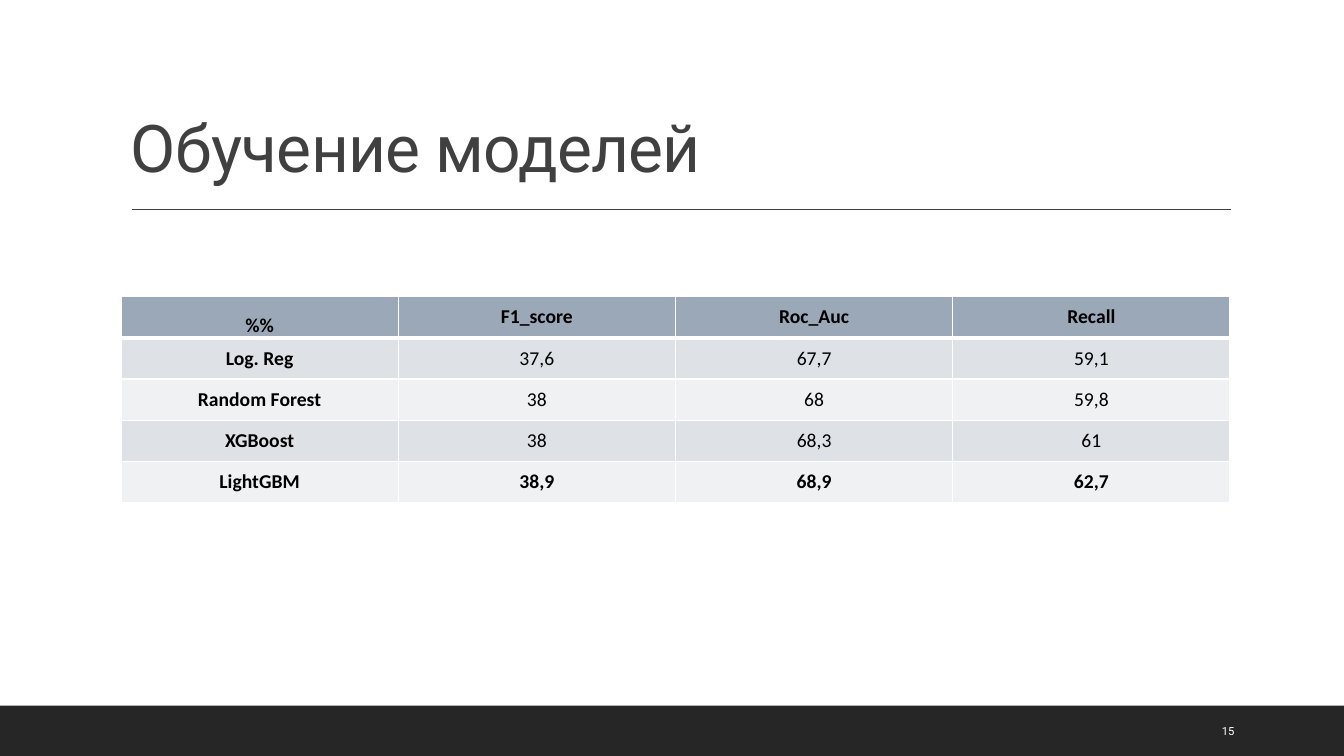
"""Build the model training slide with its table of scores."""
from lxml.etree import SubElement
from pptx import Presentation
from pptx.dml.color import RGBColor
from pptx.enum.shapes import MSO_CONNECTOR, MSO_SHAPE
from pptx.enum.text import MSO_ANCHOR, PP_ALIGN
from pptx.oxml import parse_xml
from pptx.oxml.ns import nsdecls, qn
from pptx.util import Inches, Pt

TITLE = "Обучение моделей"
PAGE = "15"
SCORES = [
    ("%%", "F1_score", "Roc_Auc", "Recall"),
    ("Log. Reg", "37,6", "67,7", "59,1"),
    ("Random Forest", "38", "68", "59,8"),
    ("XGBoost", "38", "68,3", "61"),
    ("LightGBM", "38,9", "68,9", "62,7"),
]
BEST_ROW = len(SCORES) - 1

THEME = {
    "footer": "262626", "rule": "404040", "border": "FFFFFF",
    "head": "9BA8B7", "bands": ("EFF1F3", "DEE1E6"),
    "title": {"name": "Roboto", "size": Pt(47), "color": "404040"},
    "page": {"name": "Roboto", "size": Pt(8), "color": "FFFFFF"},
    "cell": {"name": "Calibri", "size": Pt(14), "color": "000000"},
}
LEFT, WIDTH = 1.2, 11
TABLE_TOP, ROW_H = 2.94, 0.41
CELL_FORMAT = {"margin_left": Inches(0.07), "margin_right": Inches(0.07),
               "margin_top": 0, "margin_bottom": 0}


def write(p, text, style, **extra):
    r = p.add_run()
    r.text = text
    for key, value in {**THEME[style], **extra}.items():
        if key == "color":
            r.font.color.rgb = RGBColor.from_string(value)
        else:
            setattr(r.font, key, value)
    return r


def add_text(s, box, text, style, anchor):
    tf = s.shapes.add_textbox(*map(Inches, box)).text_frame
    tf.word_wrap = True
    tf.vertical_anchor = anchor
    p = tf.paragraphs[0]
    return p, write(p, text, style)


def set_borders(cell, bottom):
    tc_pr = cell._tc.get_or_add_tcPr()
    for i, (side, width) in enumerate(zip("LRTB", (1, 1, 1, bottom))):
        tc_pr.insert(i, parse_xml(
            f'<a:ln{side} {nsdecls("a")} w="{Pt(width)}"><a:solidFill>'
            f'<a:srgbClr val="{THEME["border"]}"/></a:solidFill></a:ln{side}>'))


def add_scores(s):
    rows, cols = len(SCORES), len(SCORES[0])
    table = s.shapes.add_table(rows, cols, Inches(LEFT), Inches(TABLE_TOP),
                               Inches(WIDTH), Inches(ROW_H * rows)).table
    for row in table.rows:
        row.height = Inches(ROW_H)
    for i, values in enumerate(SCORES):
        for j, text in enumerate(values):
            cell = table.cell(i, j)
            for key, value in CELL_FORMAT.items():
                setattr(cell, key, value)
            corner = i == j == 0
            cell.vertical_anchor = MSO_ANCHOR.BOTTOM if corner else MSO_ANCHOR.MIDDLE
            cell.fill.solid()
            cell.fill.fore_color.rgb = RGBColor.from_string(
                THEME["bands"][i % 2] if i else THEME["head"])
            set_borders(cell, 1 if i else 3)
            p = cell.text_frame.paragraphs[0]
            p.alignment = PP_ALIGN.CENTER
            p.space_before = Pt(12)
            write(p, text, "cell", bold=i in (0, BEST_ROW) or j == 0)


def main():
    prs = Presentation()
    prs.slide_width, prs.slide_height = Inches(13.33), Inches(7.5)
    s = prs.slides.add_slide(prs.slide_layouts[6])

    footer = s.shapes.add_shape(MSO_SHAPE.RECTANGLE, 0, Inches(7),
                                prs.slide_width, Inches(0.5))
    footer.shadow.inherit = False
    footer.fill.solid()
    footer.fill.fore_color.rgb = RGBColor.from_string(THEME["footer"])
    footer.line.fill.background()

    rule = s.shapes.add_connector(MSO_CONNECTOR.STRAIGHT,
                                  *map(Inches, (1.31, 2.08, 12.21, 2.08)))
    rule.line.color.rgb = RGBColor.from_string(THEME["rule"])
    rule.line.width = Pt(1)
    SubElement(rule._element.spPr, qn("a:effectLst"))

    p, r = add_text(s, (LEFT, 0.31, WIDTH, 1.59), TITLE, "title", MSO_ANCHOR.BOTTOM)
    p.line_spacing = 0.9
    r.font._element.set("spc", "-50")

    add_scores(s)
    add_text(s, (12.02, 7.05, 0.85, 0.4), PAGE, "page", MSO_ANCHOR.MIDDLE)
    prs.save("out.pptx")


if __name__ == "__main__":
    main()
